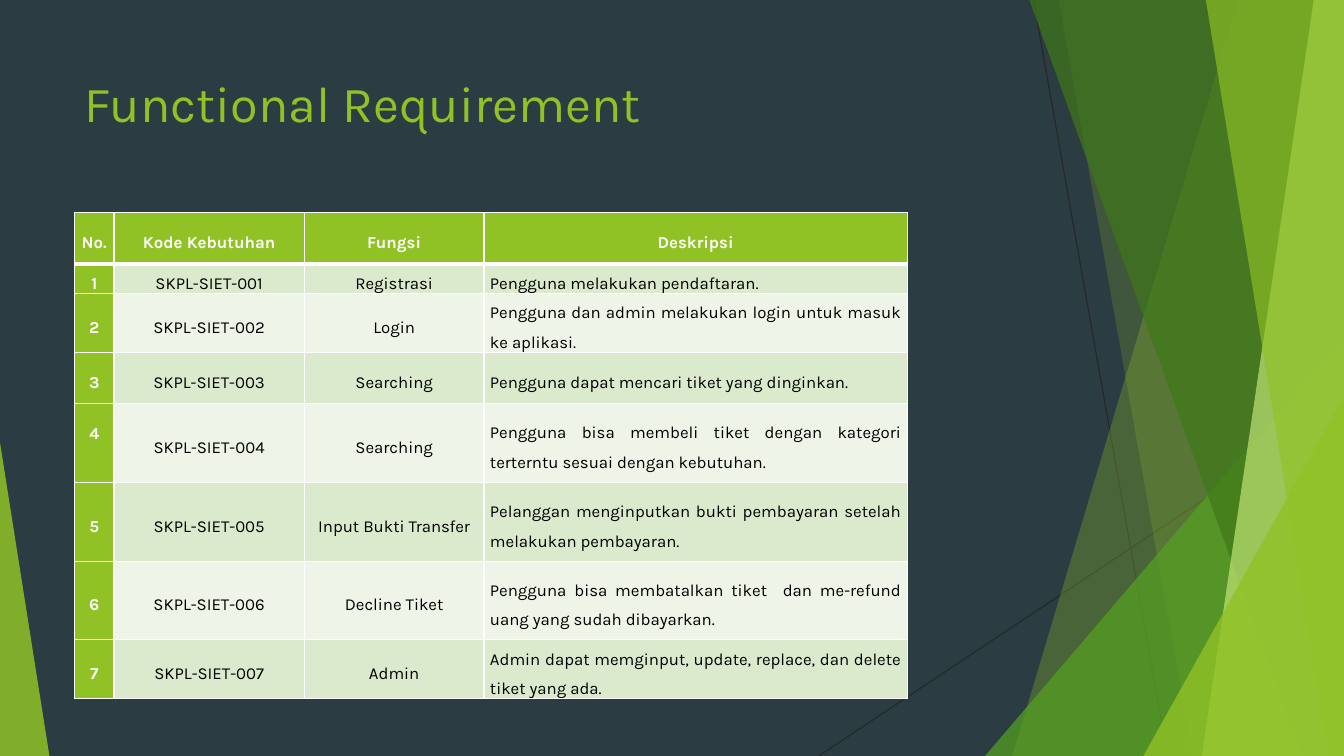
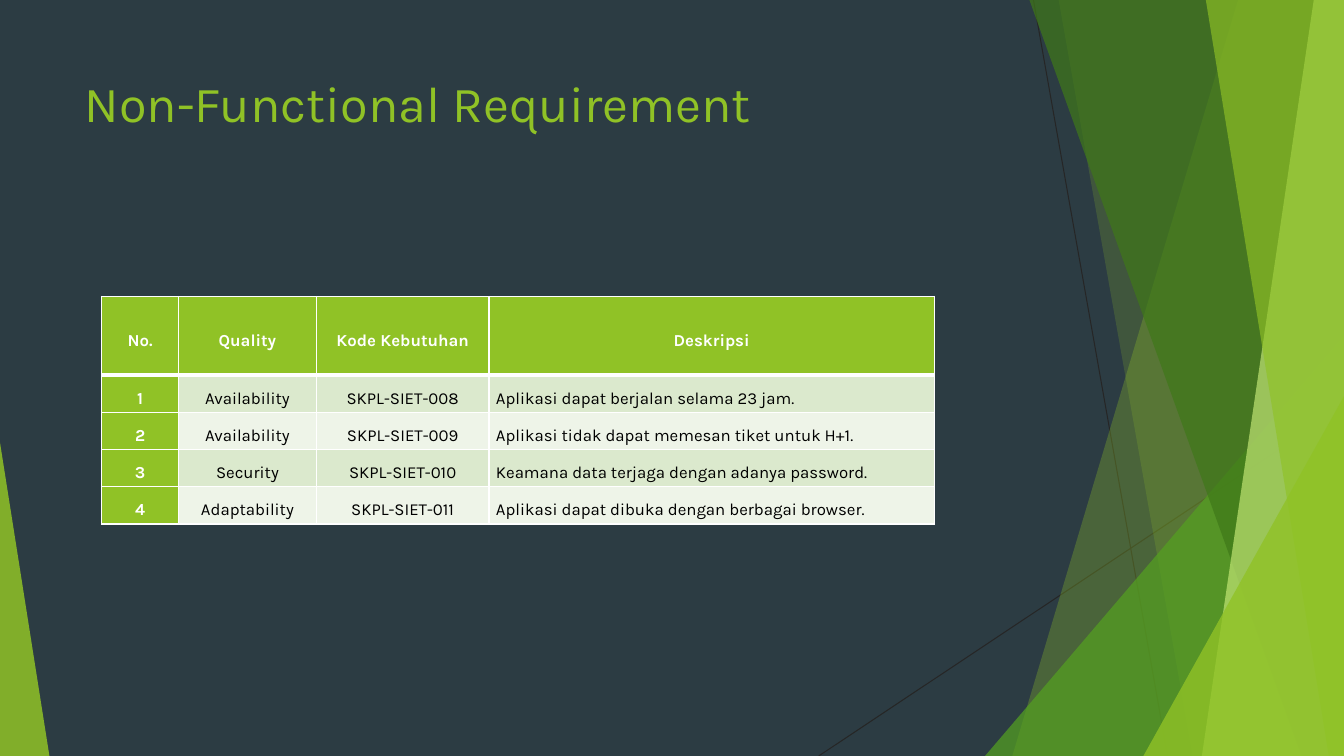
"""Builds two requirement slides sharing a faceted green backdrop and table style."""
from pptx import Presentation
from pptx.dml.color import RGBColor
from pptx.enum.shapes import MSO_CONNECTOR, MSO_SHAPE
from pptx.enum.text import MSO_ANCHOR, MSO_AUTO_SIZE, PP_ALIGN
from pptx.oxml.ns import qn
from pptx.util import Inches, Pt
from lxml import etree

STRAIGHT = MSO_CONNECTOR.STRAIGHT
TRIANGLE = MSO_SHAPE.ISOSCELES_TRIANGLE
TOP, MIDDLE = MSO_ANCHOR.TOP, MSO_ANCHOR.MIDDLE
NO_FIT = MSO_AUTO_SIZE.NONE
LEFT, CENTER, JUSTIFY = PP_ALIGN.LEFT, PP_ALIGN.CENTER, PP_ALIGN.JUSTIFY

FONT = "Karla"
WIDTH, HEIGHT = 13.33, 7.5
COLORS = {
    "night": "2C3C43", "lime": "90C226", "leaf": "54A021", "forest": "3F7819",
    "pale": "C0E474", "thread": "262626", "white": "FFFFFF", "black": "000000",
    "odd": "DBE9CD", "even": "EEF4E8",
}
TITLE_BOX = (0.74, 0.67, 9.4, 1.44)
THREADS = [(10.25, 0, 11.58, HEIGHT), (WIDTH, 4.03, 8.12, HEIGHT)]
FACETS = [
    ("blade", (12.28, 10.04), "lime", 30),
    ("blade", (10.5, 11.83), "lime", 20),
    ("corner", (9.77, 3.33, 3.56, 1), "leaf", 72),
    ("blade", (10.21, 12.91), "forest", 70),
    ("blade", (13.03, 11.92), "pale", 70),
    ("blade", (11.96, 13.18), "lime", 65),
    ("corner", (11.34, 3.93, 1.99, 1), "lime", 80),
    ("corner", (0, 4.39, 0.49, 0), "lime", 85),
]

FUNCTIONAL = {
    "title": "Functional Requirement",
    "origin": (0.74, 2.11),
    "columns": [0.39, 1.89, 1.78, 4.2],
    "heights": [0.51, 0.24, 0.51, 0.51, 0.78, 0.78, 0.78, 0.51],
    "inset": 0.06,
    "raised": "4",
    "header": ["No.", "Kode Kebutuhan", "Fungsi", "Deskripsi"],
    "body": [
        ("SKPL-SIET-001", "Registrasi", "Pengguna melakukan pendaftaran."),
        ("SKPL-SIET-002", "Login",
         "Pengguna dan admin melakukan login untuk masuk ke aplikasi."),
        ("SKPL-SIET-003", "Searching", "Pengguna dapat mencari tiket yang dinginkan."),
        ("SKPL-SIET-004", "Searching",
         "Pengguna bisa membeli tiket dengan kategori terterntu sesuai dengan kebutuhan."),
        ("SKPL-SIET-005", "Input Bukti Transfer",
         "Pelanggan menginputkan bukti pembayaran setelah melakukan pembayaran."),
        ("SKPL-SIET-006", "Decline Tiket",
         "Pengguna bisa membatalkan tiket  dan me-refund uang yang sudah dibayarkan."),
        ("SKPL-SIET-007", "Admin",
         "Admin dapat memginput, update, replace, dan delete tiket yang ada."),
    ],
}
NON_FUNCTIONAL = {
    "title": "Non-Functional Requirement",
    "origin": (1.01, 2.94),
    "columns": [0.76, 1.37, 1.71, 4.42],
    "heights": [0.78] + [0.37] * 4,
    "inset": 0.07,
    "raised": None,
    "header": ["No.", "Quality", "Kode Kebutuhan", "Deskripsi"],
    "body": [
        ("Availability", "SKPL-SIET-008", "Aplikasi dapat berjalan selama 23 jam."),
        ("Availability", "SKPL-SIET-009", "Aplikasi tidak dapat memesan tiket untuk H+1."),
        ("Security", "SKPL-SIET-010", "Keamana data terjaga dengan adanya password."),
        ("Adaptability", "SKPL-SIET-011", "Aplikasi dapat dibuka dengan berbagai browser."),
    ],
}


def rgb(name):
    """Returns the named palette colour."""
    return RGBColor.from_string(COLORS[name])


def inches(*lengths):
    """Converts several lengths in inches."""
    return [Inches(length) for length in lengths]


def add_run(paragraph, text, size, color, bold=False):
    """Adds one styled run to a paragraph."""
    run = paragraph.add_run()
    run.text = text
    run.font.name = FONT
    run.font.size = Pt(size)
    run.font.bold = bold
    run.font.color.rgb = rgb(color)


def add_thread(shapes, ends):
    """Draws one thin background line."""
    thread = shapes.add_connector(STRAIGHT, *inches(*ends))
    thread.line.color.rgb = rgb("thread")
    thread.line.width = Pt(0.75)
    etree.SubElement(thread.element.spPr, qn("a:effectLst"))
    return thread


def add_blade(shapes, top_x, bottom_x):
    """Draws a full-height blade reaching the right edge."""
    outline = shapes.build_freeform(*inches(top_x, 0))
    corners = [(WIDTH, 0), (WIDTH, HEIGHT), (bottom_x, HEIGHT)]
    outline.add_line_segments([inches(*corner) for corner in corners], close=True)
    return outline.convert_to_shape()


def add_corner(shapes, left, top, width, apex):
    """Draws a triangle standing on the bottom edge."""
    corner = shapes.add_shape(TRIANGLE, *inches(left, top, width, HEIGHT - top))
    corner.adjustments[0] = apex
    return corner


def add_facet(shapes, kind, geometry, color, opacity):
    """Draws one translucent facet."""
    facet = {"blade": add_blade, "corner": add_corner}[kind](shapes, *geometry)
    facet.shadow.inherit = False
    facet.fill.solid()
    facet.fill.fore_color.rgb = rgb(color)
    tint = facet.element.spPr.find(".//" + qn("a:srgbClr"))
    etree.SubElement(tint, qn("a:alpha")).set("val", str(opacity * 1000))
    facet.line.fill.background()
    return facet


def decorate_layout(layout, shapes):
    """Draws the backdrop with a slide's shapes and moves it into the layout."""
    layout.background.fill.solid()
    layout.background.fill.fore_color.rgb = rgb("night")
    backdrop = [add_thread(shapes, ends) for ends in THREADS]
    backdrop += [add_facet(shapes, *facet) for facet in FACETS]
    for part in backdrop:
        layout.shapes.element.append(part.element)


def set_title(slide, text, box):
    """Fills and places the title placeholder."""
    title = slide.shapes.title
    title.left, title.top, title.width, title.height = inches(*box)
    frame = title.text_frame
    frame.word_wrap = True
    frame.auto_size = NO_FIT
    frame.vertical_anchor = TOP
    frame.paragraphs[0].alignment = LEFT
    add_run(frame.paragraphs[0], text, 36, "lime")


def set_borders(cell, top, bottom):
    """Gives a cell white borders, with top and bottom widths in points."""
    properties = cell._tc.get_or_add_tcPr()
    widths = {"a:lnL": 1, "a:lnR": 1, "a:lnT": top, "a:lnB": bottom}
    for index, (tag, width) in enumerate(widths.items()):
        border = etree.Element(qn(tag), w=str(Pt(width)))
        fill = etree.SubElement(border, qn("a:solidFill"))
        etree.SubElement(fill, qn("a:srgbClr")).set("val", COLORS["white"])
        properties.insert(index, border)


def fill_cell(cell, text, row, column, inset):
    """Writes and styles one cell according to its place in the table."""
    is_heading = row == 0 or column == 0
    cell.margin_left = cell.margin_right = Inches(inset)
    cell.margin_top = cell.margin_bottom = 0
    cell.vertical_anchor = MIDDLE
    cell.fill.solid()
    cell.fill.fore_color.rgb = rgb("lime" if is_heading else "odd" if row % 2 else "even")
    set_borders(cell, 3 if row == 1 else 1, 3 if row == 0 else 1)
    paragraph = cell.text_frame.paragraphs[0]
    paragraph.alignment = JUSTIFY if column == 3 and row else CENTER
    paragraph.line_spacing = 1.5
    add_run(paragraph, text, 12, "white" if is_heading else "black", is_heading)


def add_requirements(slide, content):
    """Adds the numbered requirement table."""
    columns, heights = content["columns"], content["heights"]
    box = inches(*content["origin"], sum(columns), sum(heights))
    table = slide.shapes.add_table(len(heights), len(columns), *box).table
    for column, width in zip(table.columns, columns):
        column.width = Inches(width)
    for row, height in zip(table.rows, heights):
        row.height = Inches(height)
    numbered = [(str(number), *entry) for number, entry in enumerate(content["body"], 1)]
    for row, texts in enumerate([content["header"], *numbered]):
        for column, text in enumerate(texts):
            cell = table.cell(row, column)
            fill_cell(cell, text, row, column, content["inset"])
            if text == content["raised"]:
                cell.margin_bottom = Inches(0.29)


def main():
    """Builds and saves the presentation."""
    deck = Presentation()
    deck.slide_width, deck.slide_height = inches(WIDTH, HEIGHT)
    layout = deck.slide_layouts[5]
    for content in (FUNCTIONAL, NON_FUNCTIONAL):
        slide = deck.slides.add_slide(layout)
        if len(deck.slides) == 1:
            decorate_layout(layout, slide.shapes)
        set_title(slide, content["title"], TITLE_BOX)
        add_requirements(slide, content)
    deck.save("out.pptx")


if __name__ == "__main__":
    main()
